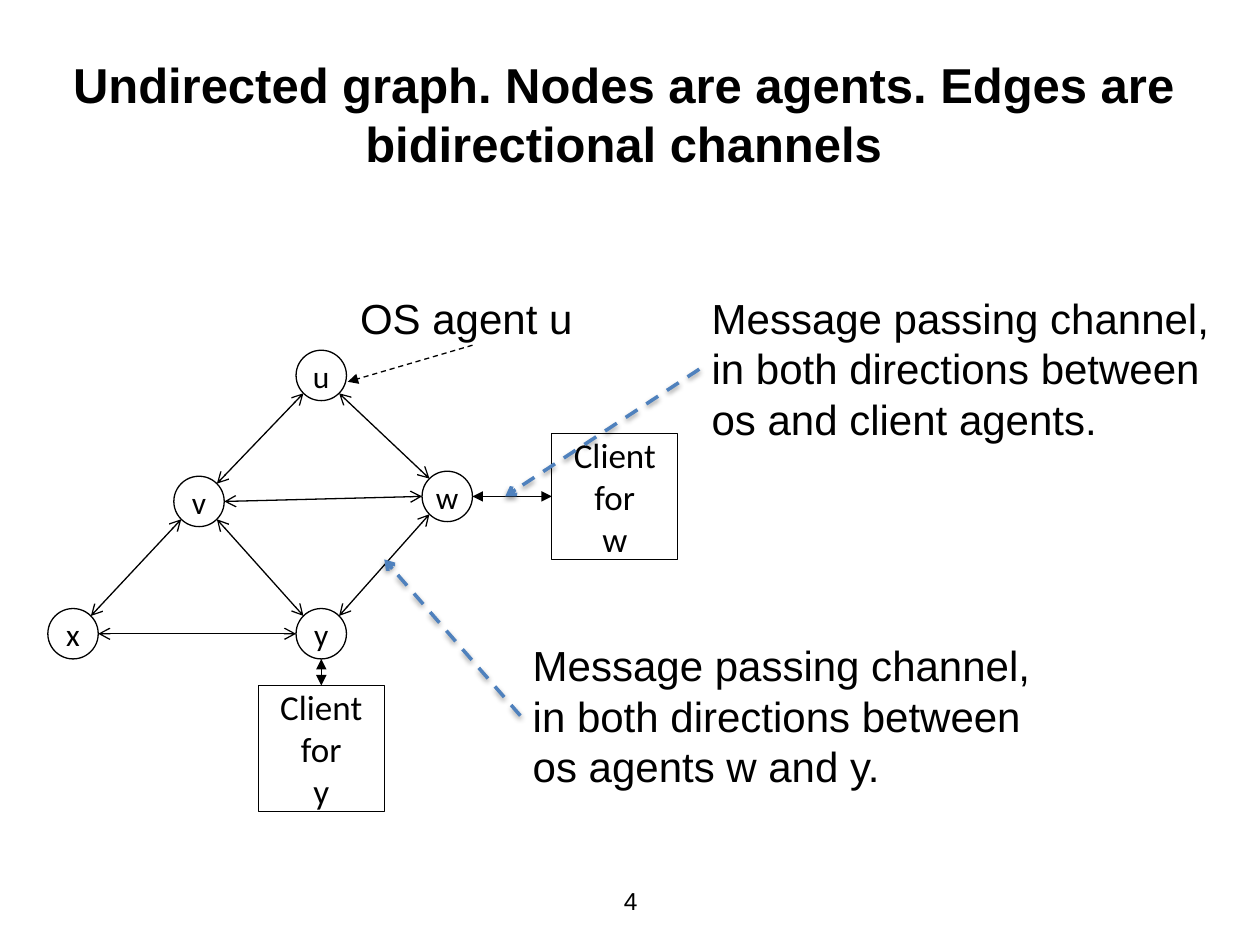
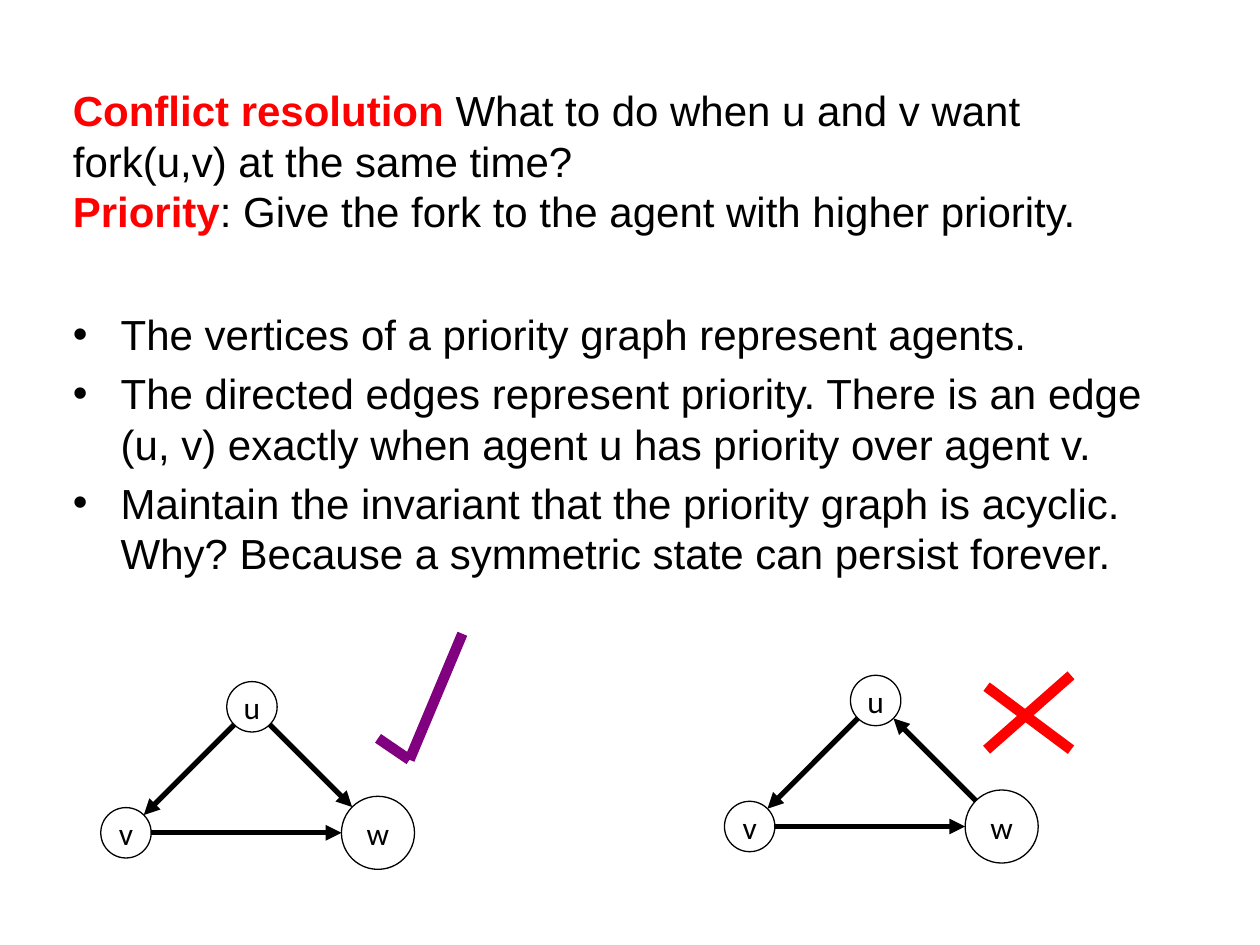
from math import atan2, cos, sin, pi

from lxml import etree
from pptx import Presentation
from pptx.dml.color import RGBColor
from pptx.enum.dml import MSO_LINE
from pptx.enum.shapes import MSO_CONNECTOR, MSO_SHAPE
from pptx.enum.text import MSO_ANCHOR, MSO_AUTO_SIZE, PP_ALIGN
from pptx.oxml.ns import qn
from pptx.util import Inches, Pt

LEFT, CENTER = PP_ALIGN.LEFT, PP_ALIGN.CENTER
TOP, MIDDLE = MSO_ANCHOR.TOP, MSO_ANCHOR.MIDDLE
OVAL, RECT = MSO_SHAPE.OVAL, MSO_SHAPE.RECTANGLE
STRAIGHT, DASH = MSO_CONNECTOR.STRAIGHT, MSO_LINE.DASH

COLORS = {"black": "000000", "red": "FF0000", "blue": "4F81BD", "purple": "800080"}
TEXT_FONT, NODE_FONT = "Arial", "Calibri"
NODE_RADIUS, BIG_RADIUS, CLIENT_RADIUS = 0.2, 0.29, 0.5

# Content of the agent graph: name -> (centre x, centre y, radius)
AGENT_TITLE = "Undirected graph. Nodes are agents. Edges are bidirectional channels"
PAGE_NUMBER = "4"
AGENTS = {
    "u": (2.55, 2.98, NODE_RADIUS),
    "v": (1.58, 3.98, NODE_RADIUS),
    "w": (3.55, 3.94, NODE_RADIUS),
    "y": (2.55, 5.03, NODE_RADIUS),
    "x": (0.58, 5.03, NODE_RADIUS),
}
CHANNELS = ["uv", "uw", "vw", "vx", "xy", "vy", "wy"]
CLIENTS = {"w": (4.88, 3.94, CLIENT_RADIUS), "y": (2.55, 5.94, CLIENT_RADIUS)}
AGENT_LABEL = ("OS agent u", (2.76, 2.27, 1.9, 0.5), (3.75, 2.74), (2.76, 3.03))
CHANNEL_NOTES = [  # text, box, pointer start, pointer end
    ("Message passing channel, in both directions between os agents w and y.",
     (4.13, 5.03, 4.2, 1.31), (4.13, 5.68), (3.05, 4.44)),
    ("Message passing channel, in both directions between os and client agents.",
     (5.55, 2.27, 4.2, 1.31), (5.55, 2.93), (4.01, 3.94)),
]

# Content of the priority slide
CONFLICT_TITLE = [
    ("Conflict resolution ", "red", True),
    ("What to do when u and v want fork(u,v) at the same time?\v", "black", False),
    ("Priority", "red", True),
    (": Give the fork to the agent with higher priority.", "black", False),
]
PRIORITY_POINTS = [
    "The vertices of a priority graph represent agents.",
    "The directed edges represent priority. There is an edge (u, v) exactly "
    "when agent u has priority over agent v.",
    "Maintain the invariant that the priority graph is acyclic. Why? Because "
    "a symmetric state can persist forever.",
]
TRIANGLE = {  # offsets from the centre of u
    "u": (0, 0, NODE_RADIUS),
    "v": (-1, 1, NODE_RADIUS),
    "w": (1, 1, BIG_RADIUS),
}
ACYCLIC = ((2, 5.61), ["uv", "uw", "vw"])
CYCLIC = ((6.95, 5.56), ["uv", "wu", "vw"])
MARKS = [
    ("purple", (3, 5.86), (3.25, 6.03)),
    ("purple", (3.25, 6.03), (3.67, 5.03)),
    ("red", (7.83, 5.45), (8.5, 5.95)),
    ("red", (7.83, 5.95), (8.5, 5.36)),
]


def rgb(color):
    return RGBColor.from_string(COLORS[color])


def write(frame, paragraphs, size=24, font=TEXT_FONT, color="black", bold=False,
          align=LEFT, anchor=TOP, wrap=True, grow=False, bullet=False):
    """Fill a text frame; a paragraph is a string or a list of (text, colour, bold)."""
    frame.word_wrap = wrap
    frame.vertical_anchor = anchor
    if grow:
        frame.auto_size = MSO_AUTO_SIZE.SHAPE_TO_FIT_TEXT
    for index, runs in enumerate(paragraphs):
        paragraph = frame.add_paragraph() if index else frame.paragraphs[0]
        paragraph.alignment = align
        if bullet:
            paragraph.space_before = Pt(5)
            properties = paragraph._p.get_or_add_pPr()
            properties.set("marL", str(Inches(0.38)))
            properties.set("indent", str(-Inches(0.38)))
            etree.SubElement(properties, qn("a:buFont"), typeface=TEXT_FONT)
            etree.SubElement(properties, qn("a:buChar"), char="•")
        if isinstance(runs, str):
            runs = [(runs, color, bold)]
        for words, run_color, run_bold in runs:
            run = paragraph.add_run()
            run.text = words.rstrip("\v")
            run.font.name, run.font.size, run.font.bold = font, Pt(size), run_bold
            run.font.color.rgb = rgb(run_color)
            if words.endswith("\v"):
                paragraph.add_line_break()


def add_text(slide, box, paragraphs, **style):
    frame = slide.shapes.add_textbox(*map(Inches, box)).text_frame
    write(frame, paragraphs, **style)


def add_line(shapes, start, end, color="black", width=0.75, head=None, tail=None,
             dashed=False, shadow=False):
    line = shapes.add_connector(STRAIGHT, *map(Inches, (*start, *end)))
    line.line.color.rgb = rgb(color)
    line.line.width = Pt(width)
    if dashed:
        line.line.dash_style = DASH
    outline = line.line._get_or_add_ln()
    for tag, arrow in (("a:headEnd", head), ("a:tailEnd", tail)):
        if arrow:
            etree.SubElement(outline, qn(tag), type=arrow)
    effects = etree.SubElement(line._element.spPr, qn("a:effectLst"))
    if shadow:
        outer = etree.SubElement(effects, qn("a:outerShdw"), blurRad=str(Pt(3.1)),
                                 dist=str(Pt(1.6)), dir="5400000", rotWithShape="0")
        tint = etree.SubElement(outer, qn("a:srgbClr"), val=COLORS["black"])
        etree.SubElement(tint, qn("a:alpha"), val="38000")


def add_node(shapes, place, lines, kind=OVAL, size=18):
    x, y, radius = place
    node = shapes.add_shape(kind, *map(Inches, (x - radius, y - radius, 2 * radius, 2 * radius)))
    node.shadow.inherit = False
    node.fill.background()
    node.line.color.rgb = rgb("black")
    node.line.width = Pt(0.75)
    write(node.text_frame, lines, size=size, font=NODE_FONT, align=CENTER,
          anchor=MIDDLE, wrap=False)


def rim_point(place, target):
    """Point on the rim towards the target, at the nearest multiple of 45 degrees."""
    x, y, radius = place
    angle = round(atan2(target[1] - y, target[0] - x) / (pi / 4)) * pi / 4
    return x + radius * cos(angle), y + radius * sin(angle)


def add_edge(shapes, first, second, **style):
    add_line(shapes, rim_point(first, second), rim_point(second, first), **style)


def add_graph(shapes, nodes, edges, **style):
    for name, place in nodes.items():
        add_node(shapes, place, [name])
    for first, second in edges:
        add_edge(shapes, nodes[first], nodes[second], **style)


def add_triangle(shapes, origin, edges):
    nodes = {name: (origin[0] + dx, origin[1] + dy, radius)
             for name, (dx, dy, radius) in TRIANGLE.items()}
    add_graph(shapes, nodes, edges, width=3, tail="triangle")


deck = Presentation()
deck.slide_width, deck.slide_height = Inches(10), Inches(7.5)
blank = deck.slide_layouts[6]

# Slide 1: agents, channels and clients
slide = deck.slides.add_slide(blank)
add_text(slide, (3.42, 6.95, 3.17, 0.4), [PAGE_NUMBER], size=14, align=CENTER, anchor=MIDDLE)
add_text(slide, (0.37, 0.05, 9.16, 1.7), [AGENT_TITLE], size=28, bold=True,
         align=CENTER, anchor=MIDDLE)
add_graph(slide.shapes, AGENTS, CHANNELS, head="arrow", tail="arrow")
for agent, place in CLIENTS.items():
    add_node(slide.shapes, place, ["Client", "for", agent], kind=RECT, size=20)
    add_edge(slide.shapes, AGENTS[agent], place, head="triangle", tail="triangle")

# Labels with their pointers
label, box, start, end = AGENT_LABEL
add_text(slide, box, [label], wrap=False, grow=True)
add_line(slide.shapes, start, end, tail="triangle", dashed=True)
for note, box, start, end in CHANNEL_NOTES:
    add_text(slide, box, [note], grow=True)
    add_line(slide.shapes, start, end, color="blue", width=2, tail="arrow",
             dashed=True, shadow=True)

# Slide 2: priority rules, an acyclic and a cyclic graph
slide = deck.slides.add_slide(blank)
add_text(slide, (0.48, 0.36, 9.02, 1.83), [CONFLICT_TITLE], anchor=MIDDLE)
add_text(slide, (0.48, 2.4, 8.83, 1.83), PRIORITY_POINTS, bullet=True)
add_triangle(slide.shapes.add_group_shape().shapes, *ACYCLIC)
add_triangle(slide.shapes, *CYCLIC)

# Tick and cross
for color, start, end in MARKS:
    add_line(slide.shapes, start, end, color=color, width=6)

deck.save("out.pptx")
